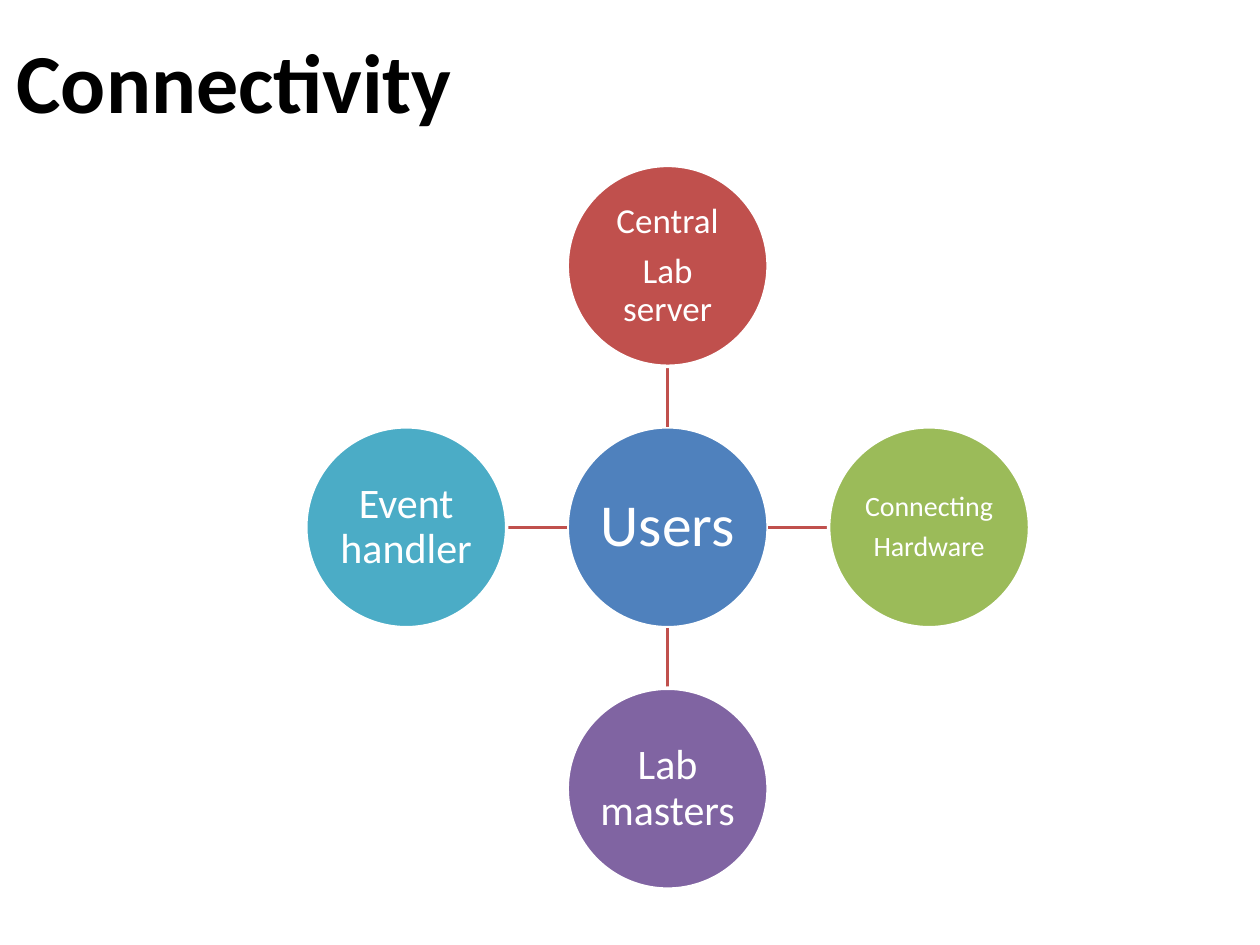
from dataclasses import dataclass

import pptx
import pptx.dml.color
import pptx.enum.shapes
import pptx.enum.text
import pptx.oxml
import pptx.util

Cm, Pt = pptx.util.Cm, pptx.util.Pt
RGBColor = pptx.dml.color.RGBColor
PP_ALIGN = pptx.enum.text.PP_ALIGN
MSO_ANCHOR = pptx.enum.text.MSO_ANCHOR

BLACK = RGBColor(0x00, 0x00, 0x00)
WHITE = RGBColor(0xFF, 0xFF, 0xFF)
BLUE = RGBColor(0x4F, 0x81, 0xBD)
RED = RGBColor(0xC0, 0x50, 0x4D)
GREEN = RGBColor(0x9B, 0xBB, 0x59)
PURPLE = RGBColor(0x80, 0x64, 0xA2)
TEAL = RGBColor(0x4B, 0xAC, 0xC6)

# Geometry in centimetres
CENTER_X, CENTER_Y = 13.46, 10.63
DIAMETER = 4.05
RADIUS = DIAMETER / 2
SPACING = 5.27  # hub centre to satellite centre


@dataclass
class Node:
    lines: list[str]
    size: int
    color: RGBColor
    dx: int = 0  # direction from the hub
    dy: int = 0


HUB = Node(["Users"], 34, BLUE)
SATELLITES = [
    Node(["Central", "Lab server"], 20, RED, dy=-1),
    Node(["Connecting", "Hardware"], 16, GREEN, dx=1),
    Node(["Lab masters"], 24, PURPLE, dy=1),
    Node(["Event handler"], 24, TEAL, dx=-1),
]


def set_text(sp, lines: list[str], *, size: int, color: RGBColor,
             bold: bool = False, align=PP_ALIGN.LEFT, anchor=MSO_ANCHOR.TOP,
             spacing: float = 1.0, after: float = 0, inset: float | None = None) -> None:
    tf = sp.text_frame
    tf.word_wrap = True
    tf.vertical_anchor = anchor
    if inset is not None:
        tf.margin_left = tf.margin_right = tf.margin_top = tf.margin_bottom = Cm(inset)
    for i, line in enumerate(lines):
        p = tf.paragraphs[0] if i == 0 else tf.add_paragraph()
        p.alignment = align
        p.line_spacing = spacing
        p.space_before = Pt(0)
        p.space_after = Pt(after)
        r = p.add_run()
        r.text = line
        r.font.name = "Calibri"
        r.font.size = Pt(size)
        r.font.bold = bold
        r.font.color.rgb = color


def add_node(s, node: Node) -> None:
    left = CENTER_X + node.dx * SPACING - RADIUS
    top = CENTER_Y + node.dy * SPACING - RADIUS
    sp = s.shapes.add_shape(pptx.enum.shapes.MSO_SHAPE.OVAL,
                            Cm(left), Cm(top), Cm(DIAMETER), Cm(DIAMETER))
    sp.shadow.inherit = False
    sp.fill.solid()
    sp.fill.fore_color.rgb = node.color
    sp.line.color.rgb = WHITE
    sp.line.width = Pt(2)
    set_text(sp, node.lines, size=node.size, color=WHITE, align=PP_ALIGN.CENTER,
             anchor=MSO_ANCHOR.MIDDLE, spacing=0.9, after=0.35 * node.size, inset=0.04)


def add_spoke(s, node: Node) -> None:
    start, end = RADIUS, SPACING - RADIUS
    line = s.shapes.add_connector(
        pptx.enum.shapes.MSO_CONNECTOR.STRAIGHT,
        Cm(CENTER_X + node.dx * start), Cm(CENTER_Y + node.dy * start),
        Cm(CENTER_X + node.dx * end), Cm(CENTER_Y + node.dy * end))
    line.line.color.rgb = RED
    line.line.width = Pt(2)
    sp_pr = line.line._get_or_add_ln().getparent()
    sp_pr.append(pptx.oxml.parse_xml(
        '<a:effectLst xmlns:a="http://schemas.openxmlformats.org/drawingml/2006/main"/>'))


def main() -> None:
    prs = pptx.Presentation()
    prs.slide_width, prs.slide_height = Cm(25.4), Cm(19.05)
    s = prs.slides.add_slide(prs.slide_layouts[5])

    # Title
    title = s.shapes.title
    title.left, title.top, title.width, title.height = Cm(0.08), Cm(0.46), Cm(13.41), Cm(2.31)
    set_text(title, ["Connectivity"], size=48, color=BLACK, bold=True)
    title.text_frame.auto_size = pptx.enum.text.MSO_AUTO_SIZE.SHAPE_TO_FIT_TEXT

    # Hub with its satellites
    add_node(s, HUB)
    for node in SATELLITES:
        add_spoke(s, node)
        add_node(s, node)

    prs.save("out.pptx")


if __name__ == "__main__":
    main()
